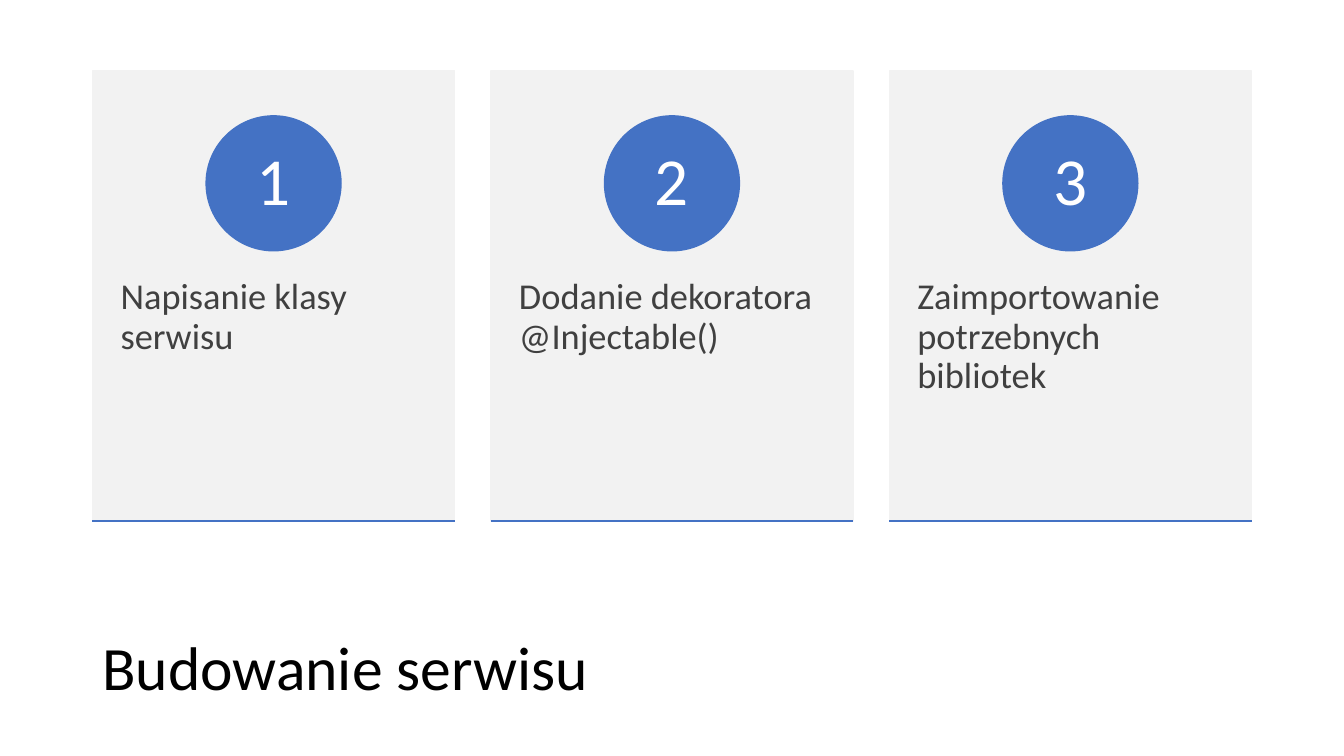
from lxml.etree import SubElement
from pptx import Presentation
from pptx.dml.color import RGBColor
from pptx.enum.shapes import MSO_CONNECTOR as Connector, MSO_SHAPE as Shape
from pptx.enum.text import MSO_ANCHOR as Anchor, PP_ALIGN as Align
from pptx.oxml.ns import qn
from pptx.util import Cm, Pt

BLACK = RGBColor(0x00, 0x00, 0x00)
WHITE = RGBColor(0xFF, 0xFF, 0xFF)
BLUE = RGBColor(0x44, 0x72, 0xC4)
LIGHT_GRAY = RGBColor(0xF2, 0xF2, 0xF2)
DARK_GRAY = RGBColor(0x40, 0x40, 0x40)

FONT = "Calibri"
STEPS = [
    "Napisanie klasy serwisu",
    "Dodanie dekoratora @Injectable()",
    "Zaimportowanie potrzebnych bibliotek",
]

# Card grid, in centimetres
CARD_LEFT, CARD_TOP = 2.33, 1.79
CARD_WIDTH, CARD_HEIGHT = 9.13, 11.34
CARD_PITCH = 10.04
CIRCLE_SIZE, CIRCLE_OFFSET = 3.4, 1.13


def write_text(shape, text, size, color, anchor, align, margins):
    """Fill a shape with one paragraph; margins are left, top, right, bottom."""
    frame = shape.text_frame
    frame.word_wrap = True
    frame.vertical_anchor = anchor
    frame.margin_left, frame.margin_top, frame.margin_right, frame.margin_bottom = (
        Cm(margin) for margin in margins
    )
    para = frame.paragraphs[0]
    para.text = text
    para.alignment = align
    para.line_spacing = 0.9
    para.font.name = FONT
    para.font.size = Pt(size)
    para.font.color.rgb = color


def add_filled_shape(slide, kind, left, top, width, height, color):
    shape = slide.shapes.add_shape(kind, Cm(left), Cm(top), Cm(width), Cm(height))
    shape.shadow.inherit = False
    shape.fill.solid()
    shape.fill.fore_color.rgb = color
    shape.line.color.rgb = color
    shape.line.width = Pt(1)
    return shape


def add_rule(slide, left, top, width):
    rule = slide.shapes.add_connector(
        Connector.STRAIGHT, Cm(left), Cm(top), Cm(left + width), Cm(top)
    )
    rule.line.color.rgb = BLUE
    rule.line.width = Pt(1)
    SubElement(rule._element.spPr, qn("a:effectLst"))


def add_step(slide, number, text):
    left = CARD_LEFT + (number - 1) * CARD_PITCH

    # Card with the description
    card = add_filled_shape(
        slide, Shape.RECTANGLE, left, CARD_TOP, CARD_WIDTH, CARD_HEIGHT, LIGHT_GRAY
    )
    write_text(card, text, 26, DARK_GRAY, Anchor.TOP, Align.LEFT, (0.71, 5.23, 0.71, 1.14))

    # Numbered circle, centred on the card
    circle = add_filled_shape(
        slide, Shape.OVAL, left + (CARD_WIDTH - CIRCLE_SIZE) / 2,
        CARD_TOP + CIRCLE_OFFSET, CIRCLE_SIZE, CIRCLE_SIZE, BLUE
    )
    write_text(circle, str(number), 48, WHITE, Anchor.MIDDLE, Align.CENTER, (0, 0, 0, 0))

    # Line along the bottom edge
    add_rule(slide, left, CARD_TOP + CARD_HEIGHT, CARD_WIDTH)


def add_title(slide, text):
    box = slide.shapes.add_textbox(Cm(CARD_LEFT), Cm(15.37), Cm(21.44), Cm(3.05))
    write_text(box, text, 44, BLACK, Anchor.MIDDLE, Align.LEFT, (0.25, 0.13, 0.25, 0.13))


def main():
    deck = Presentation()
    deck.slide_width, deck.slide_height = Cm(33.87), Cm(19.05)
    slide = deck.slides.add_slide(deck.slide_layouts[6])

    add_title(slide, "Budowanie serwisu")
    for number, text in enumerate(STEPS, start=1):
        add_step(slide, number, text)

    deck.save("out.pptx")


if __name__ == "__main__":
    main()
